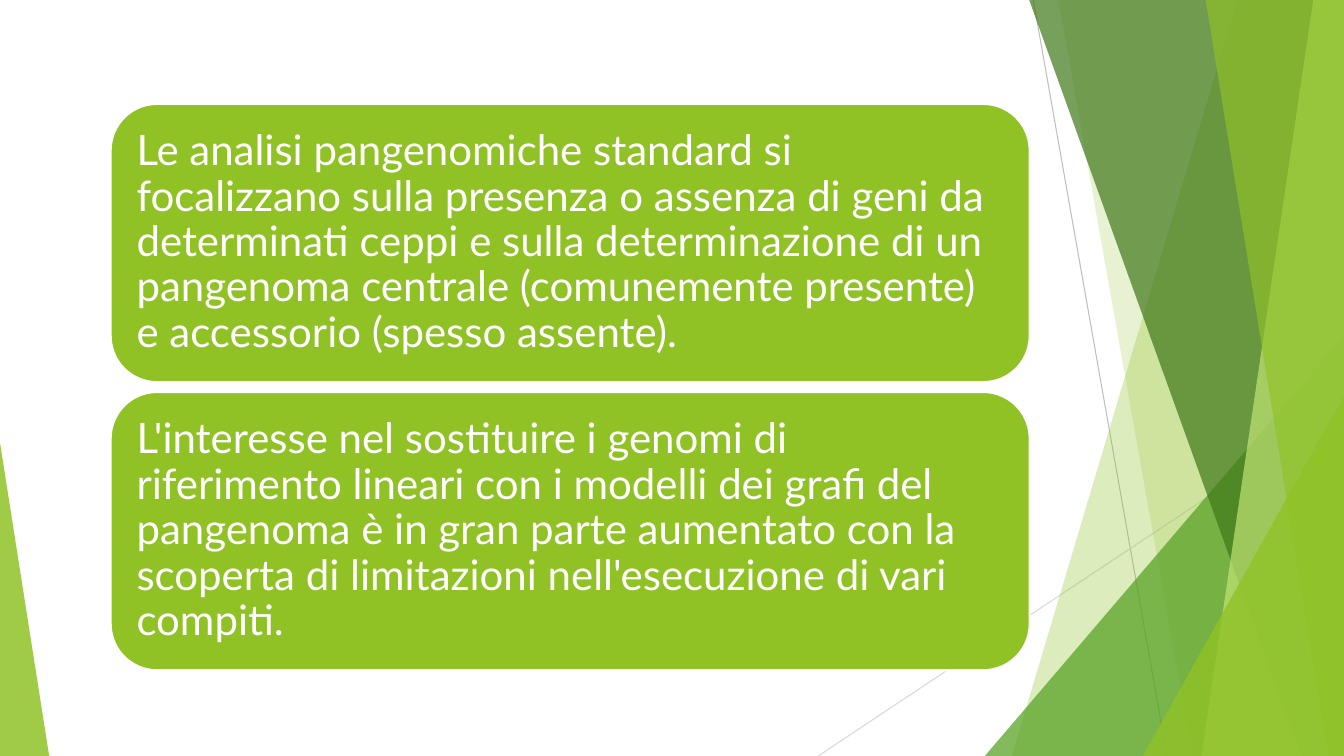
from dataclasses import dataclass

from lxml.etree import SubElement
from pptx import Presentation
from pptx.dml.color import RGBColor as RGB
from pptx.enum.shapes import MSO_CONNECTOR as Link, MSO_SHAPE as Kind
from pptx.enum.text import MSO_ANCHOR as Anchor, PP_ALIGN as Align
from pptx.oxml.ns import qn
from pptx.util import Cm, Pt


@dataclass(frozen=True)
class Theme:
    lime: str = "90C226"
    green: str = "54A021"
    dark: str = "3F7819"
    pale: str = "C0E474"
    white: str = "FFFFFF"
    gray: str = "BFBFBF"
    mist: str = "D9D9D9"
    font: str = "Lato"
    body: int = 30


theme = Theme()
WIDE, HIGH = 33.87, 19.05


def paint(shape, color, alpha=100):
    """Give a shape a flat fill, see-through below 100 percent, and no outline."""
    shape.shadow.inherit = False
    shape.fill.solid()
    shape.fill.fore_color.rgb = RGB.from_string(color)
    shape.line.fill.background()
    if alpha < 100:
        tint = shape._element.spPr.find(qn("a:solidFill"))[0]
        SubElement(tint, qn("a:alpha"), val=str(alpha * 1000))


deck = Presentation()
deck.slide_width, deck.slide_height = Cm(WIDE), Cm(HIGH)
slide = deck.slides.add_slide(deck.slide_layouts[6])
shapes = slide.shapes

# Thin lines behind the facets
rays = [
    (26.04, 0, 29.41, HIGH, theme.gray),
    (WIDE, 10.24, 20.62, HIGH, theme.mist),
]
for x1, y1, x2, y2, color in rays:
    ray = shapes.add_connector(Link.STRAIGHT, Cm(x1), Cm(y1), Cm(x2), Cm(y2))
    ray.line.color.rgb = RGB.from_string(color)
    ray.line.width = Pt(0.75)
    SubElement(ray._element.spPr, qn("a:effectLst"))

# Facets, back to front
# band: top x, bottom x; wedge: left, top, width, tip
facets = [
    ("band", (31.19, 25.5), theme.lime, 30),
    ("band", (26.67, 30.05), theme.lime, 20),
    ("wedge", (24.82, 8.46, 9.05, 1), theme.green, 72),
    ("band", (25.93, 32.79), theme.dark, 70),
    ("band", (33.1, 30.28), theme.pale, 70),
    ("band", (30.38, 33.48), theme.lime, 65),
    ("wedge", (28.8, 9.98, 5.07, 1), theme.lime, 80),
    ("wedge", (0, 11.15, 1.24, 0), theme.lime, 85),
]
for form, place, color, alpha in facets:
    if form == "band":
        top, base = place
        pen = shapes.build_freeform(Cm(top), Cm(-0.02))
        pen.add_line_segments([(Cm(WIDE), Cm(-0.02)), (Cm(WIDE), Cm(HIGH)),
                               (Cm(base), Cm(HIGH))])
        facet = pen.convert_to_shape()
    else:
        left, top, width, tip = place
        facet = shapes.add_shape(Kind.ISOSCELES_TRIANGLE, Cm(left), Cm(top),
                                 Cm(width), Cm(HIGH - top))
        facet.adjustments[0] = tip
    paint(facet, color, alpha)

# Text cards
cards = [
    "Le analisi pangenomiche standard si focalizzano sulla presenza o assenza "
    "di geni da determinati ceppi e sulla determinazione di un pangenoma "
    "centrale (comunemente presente) e accessorio (spesso assente).",
    "L'interesse nel sostituire i genomi di riferimento lineari con i modelli "
    "dei grafi del pangenoma è in gran parte aumentato con la scoperta di "
    "limitazioni nell'esecuzione di vari compiti.",
]
for row, text in enumerate(cards):
    card = shapes.add_shape(Kind.ROUNDED_RECTANGLE, Cm(2.79),
                            Cm(2.62 + row * 7.26), Cm(23.16), Cm(7.01))
    paint(card, theme.lime)
    card.line.color.rgb = RGB.from_string(theme.white)
    card.line.width = Pt(1.5)
    frame = card.text_frame
    frame.word_wrap = True
    frame.vertical_anchor = Anchor.MIDDLE
    frame.margin_left = frame.margin_top = frame.margin_bottom = Cm(0.31)
    frame.margin_right = Cm(0.5)
    frame.text = text
    para = frame.paragraphs[0]
    para.alignment = Align.LEFT
    para.line_spacing = 0.9
    para.font.name = theme.font
    para.font.size = Pt(theme.body)
    para.font.color.rgb = RGB.from_string(theme.white)

deck.save("out.pptx")
